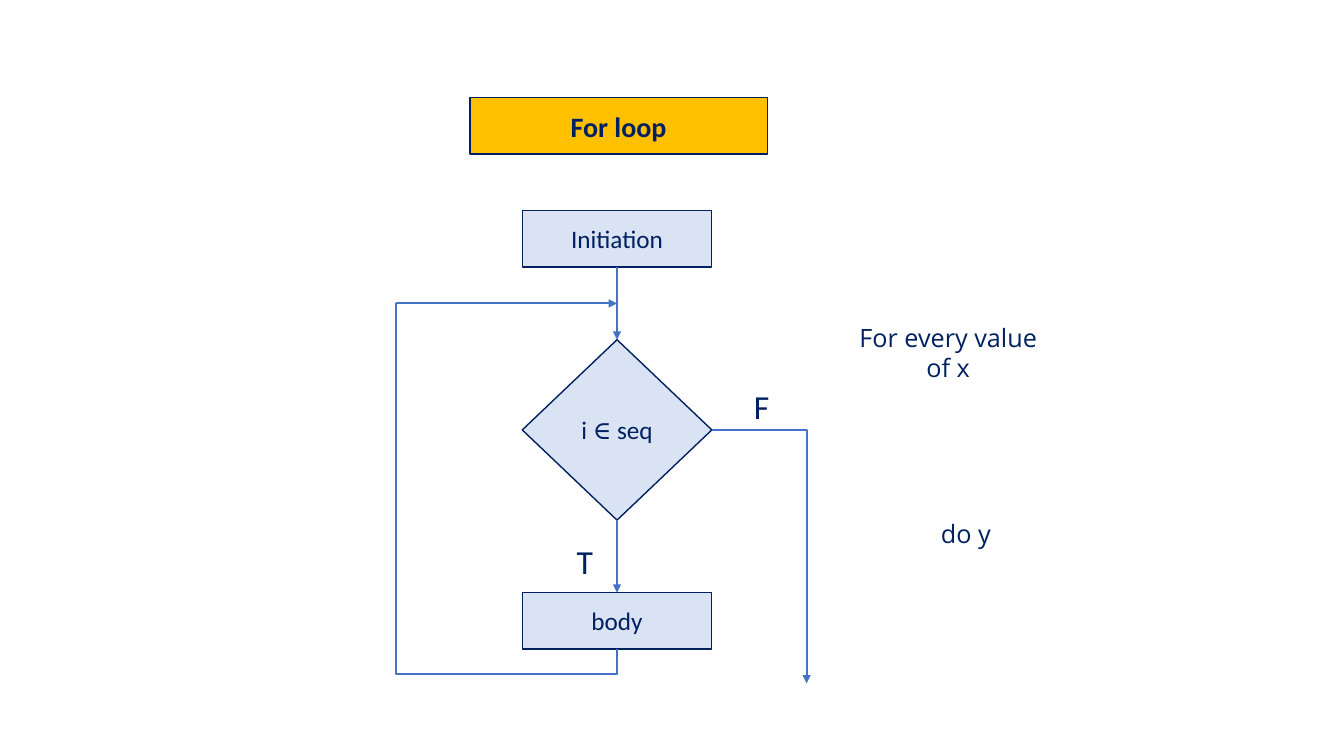
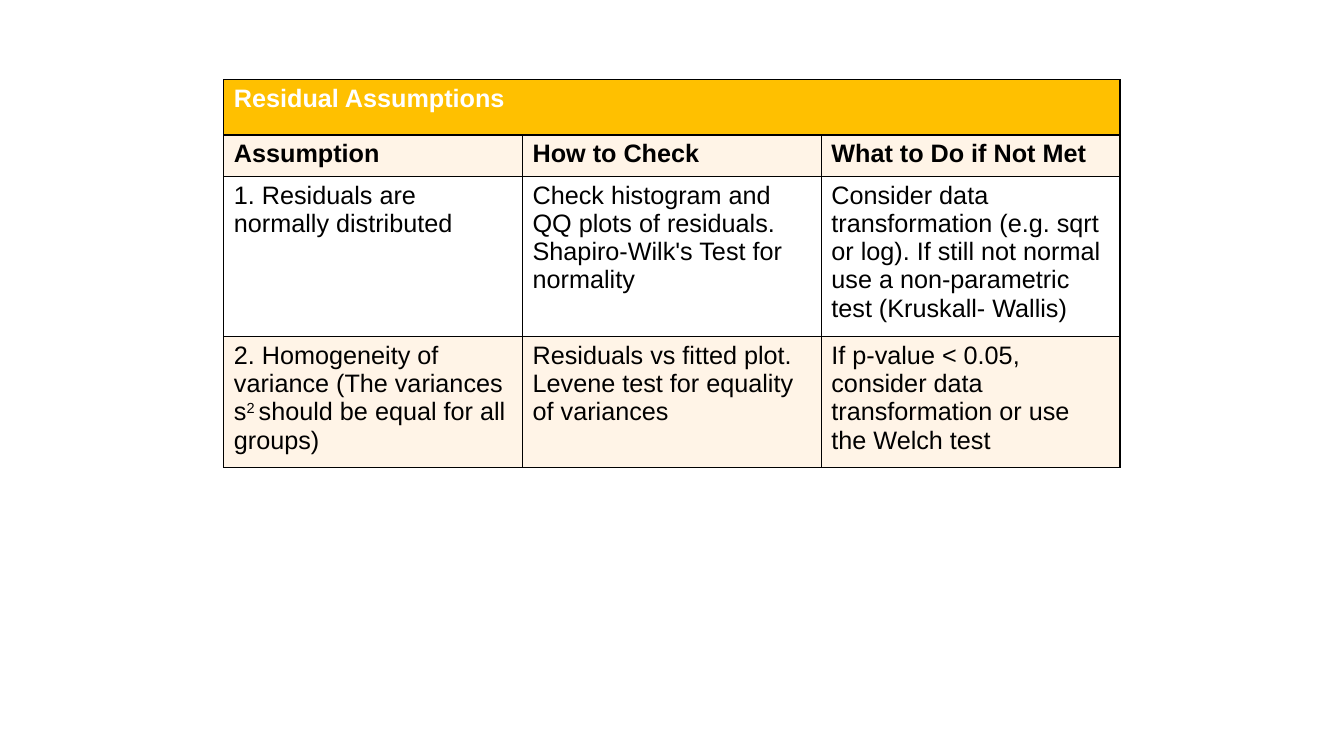
from dataclasses import dataclass
from typing import Any

import lxml.etree
import pptx
import pptx.dml.color
import pptx.enum.shapes
import pptx.enum.text
import pptx.oxml.ns
import pptx.util

Inches = pptx.util.Inches
Pt = pptx.util.Pt
qn = pptx.oxml.ns.qn
SHAPE = pptx.enum.shapes.MSO_SHAPE
LINK = pptx.enum.shapes.MSO_CONNECTOR
ALIGN = pptx.enum.text.PP_ALIGN
ANCHOR = pptx.enum.text.MSO_ANCHOR

COLORS = {
    "navy": "002060", "pale": "DAE3F3", "gold": "FFC000", "blue": "4472C4",
    "cream": "FFF4E7", "white": "FFFFFF", "black": "000000",
}

MID = 6.12
BOX_W, BOX_H = 1.88, 0.56
LEFT = MID - BOX_W / 2


@dataclass
class Node:
    x: float
    y: float
    w: float
    h: float
    text: str
    fill: str = "pale"
    kind: Any = SHAPE.RECTANGLE
    size: int = 18
    bold: bool = False


@dataclass
class Label:
    x: float
    y: float
    w: float
    h: float
    text: str
    size: int = 18
    face: str = "Open Sans"
    wrap: bool = True


@dataclass
class Row:
    height: float
    fill: str
    cells: tuple[str, ...]
    color: str = "black"
    bold: bool = False


START = Node(LEFT, 2.09, BOX_W, BOX_H, "Initiation")
BODY = Node(LEFT, 5.88, BOX_W, BOX_H, "body")
TEST = Node(LEFT, 3.37, BOX_W, 1.79, "i |∈ |seq", kind=SHAPE.DIAMOND)
TITLE = Node(4.66, 0.97, 2.95, BOX_H, "For loop", "gold", size=20, bold=True)

LABELS = (
    Label(7.38, 3.78, 0.36, 0.5, "F", 24, "Calibri", False),
    Label(5.62, 5.32, 0.37, 0.5, "T", 24, "Calibri", False),
    Label(8.29, 3.22, 2.23, BOX_H, "For every value of x"),
    Label(8.64, 5.01, BOX_W, BOX_H, "do y"),
)

ROWS = (
    Row(0.55, "gold", ("Residual Assumptions", "", ""), "white", True),
    Row(0.41, "cream", ("Assumption", "How to Check", "What to Do if Not Met"),
        bold=True),
    Row(1.59, "white", (
        "1. Residuals are normally distributed",
        "Check histogram and QQ plots of residuals.\n"
        "Shapiro-Wilk's Test for normality",
        "Consider data transformation (e.g. sqrt or log). If still not normal "
        "use a non-parametric test (Kruskall- Wallis)")),
    Row(1.3, "cream", (
        "2. Homogeneity of variance (The variances s|2 |"
        "should be equal for all groups)",
        "Residuals vs fitted plot. Levene test for equality of variances",
        "If p-value < 0.05, consider data transformation or use the Welch test")),
)


def rgb(name: str) -> pptx.dml.color.RGBColor:
    return pptx.dml.color.RGBColor.from_string(COLORS[name])


def write(frame: Any, text: str, size: int, face: str, color: str,
          bold: bool = False, align: Any = None) -> None:
    """Fill a frame: newlines part paragraphs, bars part runs."""
    frame.text = text.replace("|", "") if "\n" in text else text.split("|")[0]
    for part in text.split("|")[1:]:
        frame.paragraphs[0].add_run().text = part
    for para in frame.paragraphs:
        para.alignment = align
        for run in para.runs:
            font = run.font
            font.size, font.name, font.bold = Pt(size), face, bold
            font.color.rgb = rgb(color)


def add_node(slide: Any, node: Node) -> Any:
    shape = slide.shapes.add_shape(
        node.kind, *map(Inches, (node.x, node.y, node.w, node.h)))
    shape.shadow.inherit = False
    shape.fill.solid()
    shape.fill.fore_color.rgb = rgb(node.fill)
    shape.line.color.rgb = rgb("navy")
    shape.line.width = Pt(1)
    shape.text_frame.vertical_anchor = ANCHOR.MIDDLE
    write(shape.text_frame, node.text, node.size, "Calibri", "navy",
          node.bold, ALIGN.CENTER)
    return shape


def add_label(slide: Any, label: Label) -> None:
    box = slide.shapes.add_textbox(
        *map(Inches, (label.x, label.y, label.w, label.h)))
    frame = box.text_frame
    frame.word_wrap = label.wrap
    if label.wrap:
        frame.vertical_anchor = ANCHOR.MIDDLE
    write(frame, label.text, label.size, label.face, "navy",
          align=ALIGN.CENTER if label.wrap else ALIGN.LEFT)


def add_link(slide: Any, x1: float, y1: float, x2: float, y2: float,
             kind: Any = LINK.STRAIGHT, arrow: bool = True) -> Any:
    link = slide.shapes.add_connector(kind, *map(Inches, (x1, y1, x2, y2)))
    link.line.color.rgb = rgb("blue")
    link.line.width = Pt(1.5)
    props = link._element.spPr
    if arrow:
        lxml.etree.SubElement(props.find(qn("a:ln")), qn("a:tailEnd"),
                              type="triangle")
    lxml.etree.SubElement(props, qn("a:effectLst"))
    return link


def join(slide: Any, top: Any, low: Any) -> None:
    """Draw an arrow from the foot of one shape to the head of the next."""
    link = add_link(slide, MID, 0, MID, 1)
    link.begin_connect(top, 2)
    link.end_connect(low, 0)


def add_exit(slide: Any) -> None:
    """Draw the corner arrow taken when the test fails."""
    link = add_link(slide, TEST.x + TEST.w, TEST.y + TEST.h / 2, 8, 6.78,
                    LINK.ELBOW)
    link._element.spPr.find(qn("a:prstGeom")).set("prst", "bentConnector2")


def add_return(slide: Any, side: float, top: float) -> None:
    """Draw the way back from the body, round the left, to the test."""
    foot = BODY.y + BODY.h
    mid_x, mid_y = (MID + side) / 2, (foot + top) / 2
    long, wide = (foot - top) / 2, (MID - side) / 2
    back = add_link(slide, mid_x + long, mid_y - wide, mid_x - long,
                    mid_y + wide, LINK.ELBOW, False)
    props = back._element.spPr
    props.find(qn("a:xfrm")).set("rot", "5400000")
    lxml.etree.SubElement(props.find(qn("a:prstGeom")).find(qn("a:avLst")),
                          qn("a:gd"), name="adj1", fmla="val -7300")
    add_link(slide, side, top, MID, top)


def add_chart_flow(slide: Any) -> None:
    start, body, test = (add_node(slide, n) for n in (START, BODY, TEST))
    test.text_frame.paragraphs[0].runs[1].font.name = "Cambria"
    join(slide, start, test)
    join(slide, test, body)
    add_exit(slide)
    add_return(slide, 3.93, 3.01)
    add_node(slide, TITLE)
    for label in LABELS:
        add_label(slide, label)


def edge(cell: Any) -> None:
    """Give a cell thin black borders."""
    props = cell._tc.get_or_add_tcPr()
    for side in ("lnL", "lnR", "lnT", "lnB"):
        line = lxml.etree.SubElement(props, qn(f"a:{side}"), w=str(Pt(1)))
        fill = lxml.etree.SubElement(line, qn("a:solidFill"))
        lxml.etree.SubElement(fill, qn("a:srgbClr"), val=COLORS["black"])


def add_grid(slide: Any) -> None:
    high = sum(row.height for row in ROWS)
    grid = slide.shapes.add_table(
        len(ROWS), 3, *map(Inches, (2.22, 0.79, 8.89, high))).table
    grid.first_row = grid.horz_banding = False
    for r, row in enumerate(ROWS):
        grid.rows[r].height = Inches(row.height)
        for c, text in enumerate(row.cells):
            cell = grid.cell(r, c)
            edge(cell)
            cell.fill.solid()
            cell.fill.fore_color.rgb = rgb(row.fill)
            write(cell.text_frame, text, 18, "Arial", row.color, row.bold)
    grid.cell(0, 0).merge(grid.cell(0, 2))
    power = grid.cell(3, 0).text_frame.paragraphs[0].runs[1]
    power.font._element.set("baseline", "30000")


def main() -> None:
    deck = pptx.Presentation()
    deck.slide_width, deck.slide_height = Inches(13.33), Inches(7.5)
    for draw in (add_chart_flow, add_grid):
        draw(deck.slides.add_slide(deck.slide_layouts[6]))
    deck.save("out.pptx")


if __name__ == "__main__":
    main()
